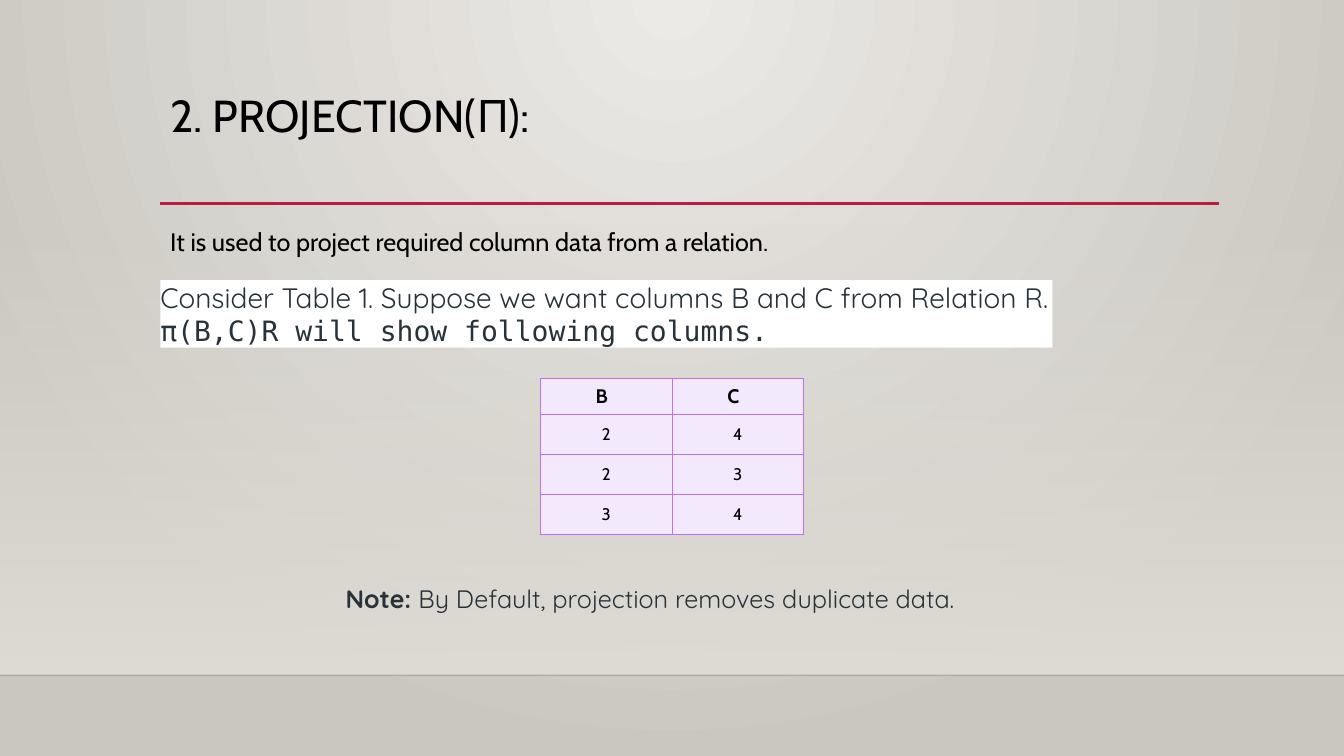
from dataclasses import dataclass

from lxml.etree import SubElement
from pptx import Presentation
from pptx.dml.color import RGBColor
from pptx.enum.shapes import MSO_CONNECTOR as Conn, MSO_SHAPE as Shape
from pptx.enum.text import MSO_ANCHOR as Anchor, PP_ALIGN as Align
from pptx.oxml import parse_xml
from pptx.oxml.ns import nsdecls, qn
from pptx.slide import Slide
from pptx.util import Pt

BLACK = RGBColor(0x00, 0x00, 0x00)
RULE = RGBColor(0xB7, 0x1E, 0x42)
FLOOR = RGBColor(0x00, 0x00, 0x01)
SLATE = RGBColor(0x27, 0x32, 0x39)
WHITE = RGBColor(0xFF, 0xFF, 0xFF)
HAZE = RGBColor(0xDF, 0xDB, 0xD5)
GLOW = RGBColor(0xEC, 0xEA, 0xE7)
EDGE = RGBColor(0xCA, 0xC7, 0xC1)
CELL = RGBColor(0xF2, 0xE9, 0xFC)
BORDER = RGBColor(0xBC, 0x72, 0xF0)

WIDTH, HEIGHT = 960, 540
LEFT = 114.5
FLOOR_TOP = 482.4
CIRCLE = '<a:path path="circle"><a:fillToRect l="43000" r="43000" b="100000"/></a:path>'
DOWN = '<a:lin ang="5400000" scaled="0"/>'


@dataclass
class Run:
    text: str
    size: float
    font: str = "Cabin"
    color: RGBColor = BLACK
    bold: bool = False


@dataclass
class Box:
    left: float
    top: float
    width: float
    height: float
    paragraphs: list[list[Run]]
    align: Align = Align.LEFT
    fill: RGBColor | None = None
    inset: tuple[float, float] = (7.2, 3.6)
    spacing: float = 1.0


@dataclass
class Line:
    left: float
    right: float
    y: float
    color: RGBColor
    width: float
    alpha: int = 100


BOXES = [
    Box(LEFT, 63.4, 756, 82.8, [[Run("2. PROJECTION(Π):", 32)]], spacing=0.9),
    Box(LEFT, 158.4, 480, 29,
        [[Run("It is used to project required column data from a relation.", 18)]]),
    Box(LEFT, 200, 637.2, 48.4,
        [[Run("Consider Table 1. Suppose we want columns B and C from Relation R.",
              20, "Quicksand", SLATE)],
         [Run("π(B,C)R will show following columns.", 20, "DejaVu Sans Mono", SLATE)]],
        Align.JUSTIFY, WHITE, (0, 0)),
    Box(239.8, 413.3, 480, 29,
        [[Run("Note: ", 18, "Quicksand", SLATE, True),
          Run("By Default, projection removes duplicate data.", 18, "Quicksand", SLATE)]],
        Align.JUSTIFY),
]
LINES = [
    Line(0, WIDTH, FLOOR_TOP, FLOOR, 1, 20),
    Line(LEFT, 871, 145.4, RULE, 2.5),
]
ROWS = [("B", "C"), ("2", "4"), ("2", "3"), ("3", "4")]


def gradient(start: RGBColor, end: RGBColor, start_alpha: int, direction: str):
    return parse_xml(
        f'<a:gradFill {nsdecls("a")} rotWithShape="1"><a:gsLst>'
        f'<a:gs pos="0"><a:srgbClr val="{start}"><a:alpha val="{start_alpha * 1000}"/>'
        f'</a:srgbClr></a:gs><a:gs pos="100000"><a:srgbClr val="{end}"/></a:gs>'
        f'</a:gsLst>{direction}</a:gradFill>')


def replace_gradient(parent, new) -> None:
    old = next(parent.iter(qn("a:gradFill")))
    old.getparent().replace(old, new)


def draw_backdrop(s: Slide) -> None:
    s.background.fill.gradient()
    replace_gradient(s.element, gradient(GLOW, EDGE, 100, CIRCLE))
    sp = s.shapes.add_shape(Shape.RECTANGLE, 0, Pt(159.1), Pt(WIDTH), Pt(FLOOR_TOP - 159.1))
    sp.shadow.inherit = False
    sp.line.fill.background()
    sp.fill.gradient()
    replace_gradient(sp.element, gradient(HAZE, HAZE, 0, DOWN))


def draw_line(s: Slide, line: Line) -> None:
    cx = s.shapes.add_connector(Conn.STRAIGHT, Pt(line.left), Pt(line.y),
                                Pt(line.right), Pt(line.y))
    cx.line.color.rgb = line.color
    cx.line.width = Pt(line.width)
    if line.alpha < 100:
        color = next(cx.element.iter(qn("a:srgbClr")))
        SubElement(color, qn("a:alpha"), val=str(line.alpha * 1000))
    SubElement(cx.element.spPr, qn("a:effectLst"))


def add_run(p, run: Run) -> None:
    r = p.add_run()
    r.text = run.text
    r.font.size = Pt(run.size)
    r.font.name = run.font
    r.font.bold = run.bold
    r.font.color.rgb = run.color


def draw_box(s: Slide, box: Box) -> None:
    sp = s.shapes.add_textbox(Pt(box.left), Pt(box.top), Pt(box.width), Pt(box.height))
    tf = sp.text_frame
    tf.word_wrap = True
    tf.margin_left = tf.margin_right = Pt(box.inset[0])
    tf.margin_top = tf.margin_bottom = Pt(box.inset[1])
    if box.fill is not None:
        sp.fill.solid()
        sp.fill.fore_color.rgb = box.fill
        tf.vertical_anchor = Anchor.MIDDLE
    for i, runs in enumerate(box.paragraphs):
        p = tf.add_paragraph() if i else tf.paragraphs[0]
        p.alignment = box.align
        p.line_spacing = box.spacing
        for run in runs:
            add_run(p, run)


def add_borders(cell) -> None:
    tcPr = cell._tc.get_or_add_tcPr()
    for i, side in enumerate(("lnL", "lnR", "lnT", "lnB")):
        tcPr.insert(i, parse_xml(
            f'<a:{side} {nsdecls("a")} w="9525"><a:solidFill>'
            f'<a:srgbClr val="{BORDER}"/></a:solidFill></a:{side}>'))


def draw_table(s: Slide) -> None:
    table = s.shapes.add_table(len(ROWS), 2, Pt(386), Pt(270), Pt(188), Pt(111.8)).table
    for i, values in enumerate(ROWS):
        header = i == 0
        table.rows[i].height = Pt(26.3 if header else 28.5)
        for j, value in enumerate(values):
            cell = table.cell(i, j)
            cell.fill.solid()
            cell.fill.fore_color.rgb = CELL
            cell.vertical_anchor = Anchor.MIDDLE
            cell.margin_left = Pt(5)
            cell.margin_right = Pt(11.5 if header else 5)
            cell.margin_top = cell.margin_bottom = Pt(4.5 if header else 6.8)
            add_borders(cell)
            p = cell.text_frame.paragraphs[0]
            p.alignment = Align.CENTER
            add_run(p, Run(value, 14 if header else 12, bold=header))


def main() -> None:
    prs = Presentation()
    prs.slide_width, prs.slide_height = Pt(WIDTH), Pt(HEIGHT)
    s = prs.slides.add_slide(prs.slide_layouts[6])
    draw_backdrop(s)
    for line in LINES:
        draw_line(s, line)
    for box in BOXES:
        draw_box(s, box)
    draw_table(s)
    prs.save("out.pptx")


if __name__ == "__main__":
    main()
